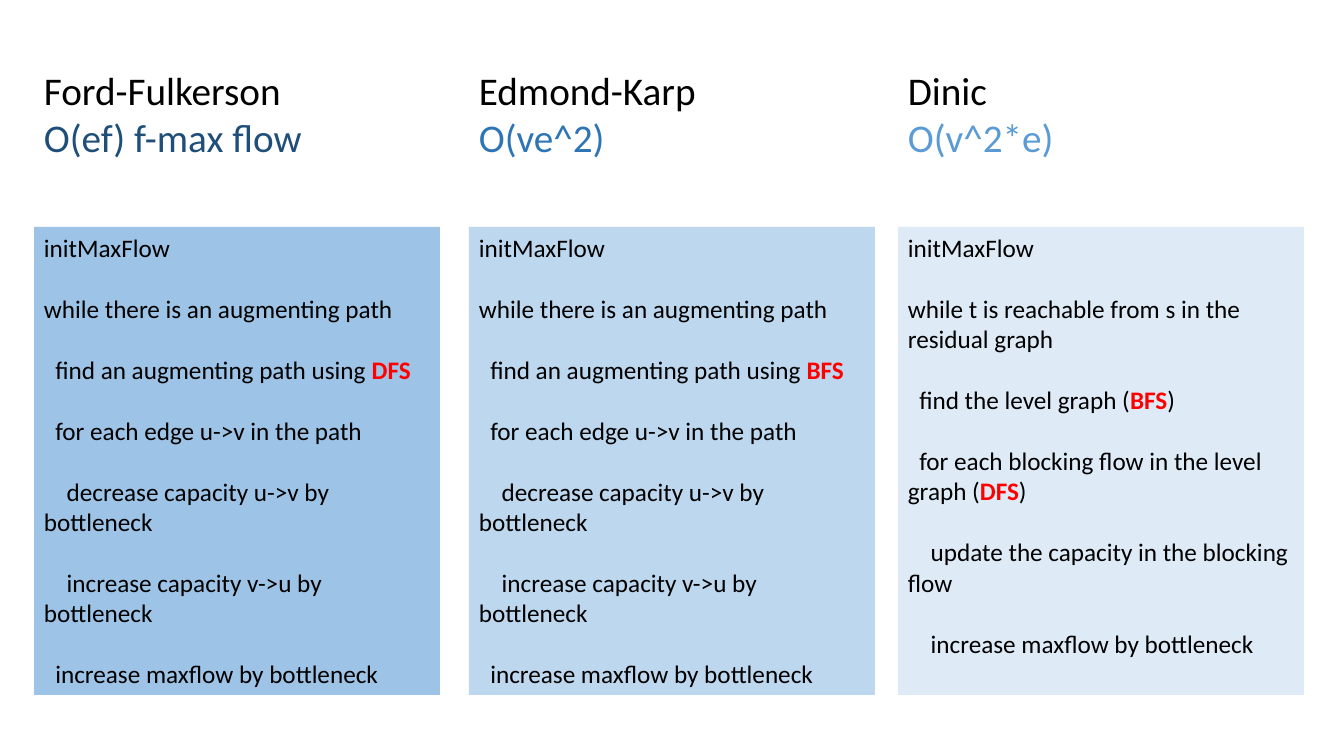
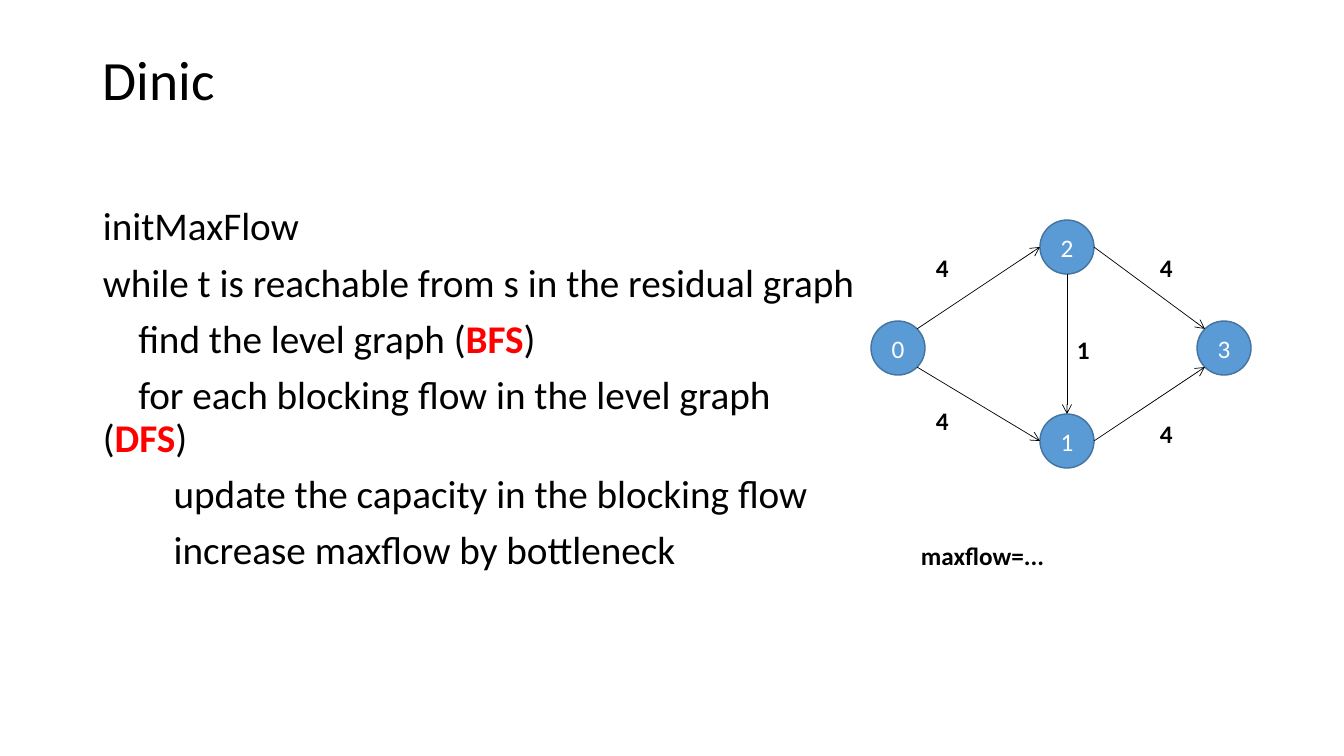
from math import cos, radians, sin

from lxml.etree import SubElement
from pptx import Presentation
from pptx.dml.color import RGBColor
from pptx.enum.shapes import MSO_CONNECTOR, MSO_SHAPE
from pptx.enum.text import MSO_ANCHOR, PP_ALIGN
from pptx.oxml.ns import qn
from pptx.util import Emu, Pt

FONT = "Calibri"
BLACK, WHITE, RED = "000000", "FFFFFF", "FF0000"
NODE_FILL, NODE_LINE = "5B9BD5", "43739E"
RADIUS = 27

DINIC = [
    (0, "initMaxFlow"),
    (0, "while t is reachable from s in the residual graph"),
    (1, "find the level graph (|BFS|)"),
    (1, "for each blocking flow in the level graph (|DFS|)"),
    (2, "update the capacity in the blocking flow"),
    (2, "increase maxflow by bottleneck"),
]


def augmenting(search):
    """Return the augmenting path steps for one search method."""
    return [
        (0, "initMaxFlow"),
        (0, "while there is an augmenting path"),
        (1, f"find an augmenting path using |{search}|"),
        (1, "for each edge u->v in the path"),
        (2, "decrease capacity u->v by bottleneck"),
        (2, "increase capacity v->u by bottleneck"),
        (1, "increase maxflow by bottleneck"),
    ]


COLUMNS = [
    (34, "Ford-Fulkerson", "O(ef) f-max flow", "1F4E79", "9DC3E6", augmenting("DFS")),
    (469, "Edmond-Karp", "O(ve^2)", "2E75B6", "BDD7EE", augmenting("BFS")),
    (898, "Dinic", "O(v^2*e)", "5B9BD5", "DEEBF7", DINIC),
]
NODES = {"0": (898, 348), "2": (1067, 247), "3": (1224, 348), "1": (1067, 441)}
EDGES = [
    ("0", -45, "2", 180),
    ("2", 0, "3", -135),
    ("0", 45, "1", 180),
    ("1", 0, "3", 135),
    ("2", 90, "1", -90),
]
CAPACITIES = [
    ("4", 926, 247),
    ("4", 1150, 247),
    ("1", 1067, 329),
    ("4", 926, 400),
    ("4", 1150, 413),
]


def px(n):
    """Turn pixels into EMU."""
    return Emu(round(n * 914400 / 100.8))


def rgb(value):
    """Turn a hex string into a colour."""
    return RGBColor.from_string(value)


def write(tf, text, size=18, color=BLACK, bold=False, align=PP_ALIGN.LEFT,
          indent=0, before=0, spacing=None):
    """Append a paragraph whose parts between bars are bold red."""
    p = tf.paragraphs[0]
    if p.runs:
        p = tf.add_paragraph()
        p.space_before = Pt(before)
    p.alignment = align
    p.line_spacing = spacing
    if indent:
        pPr = p._p.get_or_add_pPr()
        pPr.set("marL", "0")
        pPr.set("indent", str(px(indent)))
    for i, part in enumerate(text.split("|")):
        if part:
            r = p.add_run()
            r.text = part
            r.font.name = FONT
            r.font.size = Pt(size)
            r.font.bold = bold or i % 2 == 1
            r.font.color.rgb = rgb(RED if i % 2 else color)


def write_steps(tf, steps, indent, **fmt):
    """Write pseudocode with first lines indented by level."""
    for level, text in steps:
        write(tf, text, indent=level * indent, **fmt)


def add_text_box(s, x, y, w, h):
    """Add a wrapping text box and return its text frame."""
    tf = s.shapes.add_textbox(px(x), px(y), px(w), px(h)).text_frame
    tf.word_wrap = True
    return tf


def add_filled(s, kind, x, y, w, h, fill, line=None):
    """Add a filled shape and return its text frame."""
    sp = s.shapes.add_shape(kind, px(x), px(y), px(w), px(h))
    sp.shadow.inherit = False
    sp.fill.solid()
    sp.fill.fore_color.rgb = rgb(fill)
    if line:
        sp.line.color.rgb = rgb(line)
        sp.line.width = Pt(1)
    else:
        sp.line.fill.background()
    tf = sp.text_frame
    tf.word_wrap = True
    return tf


def add_column(s, x, name, cost, color, fill, steps):
    """Add one algorithm with its heading and pseudocode panel."""
    heading = add_text_box(s, x, 61, 394, 105)
    write(heading, name, size=28)
    write(heading, cost, size=28, color=color)
    panel = add_filled(s, MSO_SHAPE.RECTANGLE, x, 227, 406, 468, fill)
    panel.vertical_anchor = MSO_ANCHOR.TOP
    write_steps(panel, steps, 11.4, before=22)


def add_node(s, label, x, y):
    """Add a graph node around its centre."""
    tf = add_filled(s, MSO_SHAPE.OVAL, x - RADIUS, y - RADIUS,
                    2 * RADIUS, 2 * RADIUS, NODE_FILL, NODE_LINE)
    tf.vertical_anchor = MSO_ANCHOR.MIDDLE
    tf.margin_left = tf.margin_right = 0
    write(tf, label, color=WHITE, align=PP_ALIGN.CENTER)


def rim(label, angle):
    """Return the point on a node's rim at an angle in degrees."""
    x, y = NODES[label]
    a = radians(angle)
    return px(x + RADIUS * cos(a)), px(y + RADIUS * sin(a))


def add_edge(s, start, leave, end, arrive):
    """Add an arrow between two nodes."""
    c = s.shapes.add_connector(MSO_CONNECTOR.STRAIGHT,
                               *rim(start, leave), *rim(end, arrive))
    c.line.color.rgb = rgb(BLACK)
    c.line.width = Pt(0.5)
    SubElement(c.line._get_or_add_ln(), qn("a:tailEnd"), type="arrow")
    SubElement(c._element.spPr, qn("a:effectLst"))


def build_comparison(s):
    """Build the comparison of three algorithms."""
    for column in COLUMNS:
        add_column(s, *column)


def build_dinic(s):
    """Build the pseudocode and flow network of Dinic."""
    title = add_text_box(s, 93, 40, 1159, 146)
    title.vertical_anchor = MSO_ANCHOR.MIDDLE
    title.margin_bottom = px(66)
    write(title, "Dinic", size=39.6, spacing=0.9)
    body = add_text_box(s, 93, 202, 778, 363)
    write_steps(body, DINIC, 35.4, size=28, before=10, spacing=0.9)
    for label, (x, y) in NODES.items():
        add_node(s, label, x, y)
    for edge in EDGES:
        add_edge(s, *edge)
    for capacity, x, y in CAPACITIES:
        write(add_text_box(s, x, y, 46, 40), capacity, bold=True)
    write(add_text_box(s, 911, 535, 314, 40), "maxflow=...", bold=True)


def main():
    """Build and save the presentation."""
    prs = Presentation()
    prs.slide_width, prs.slide_height = px(1344), px(756)
    for build in (build_comparison, build_dinic):
        build(prs.slides.add_slide(prs.slide_layouts[6]))
    prs.save("out.pptx")


main()
